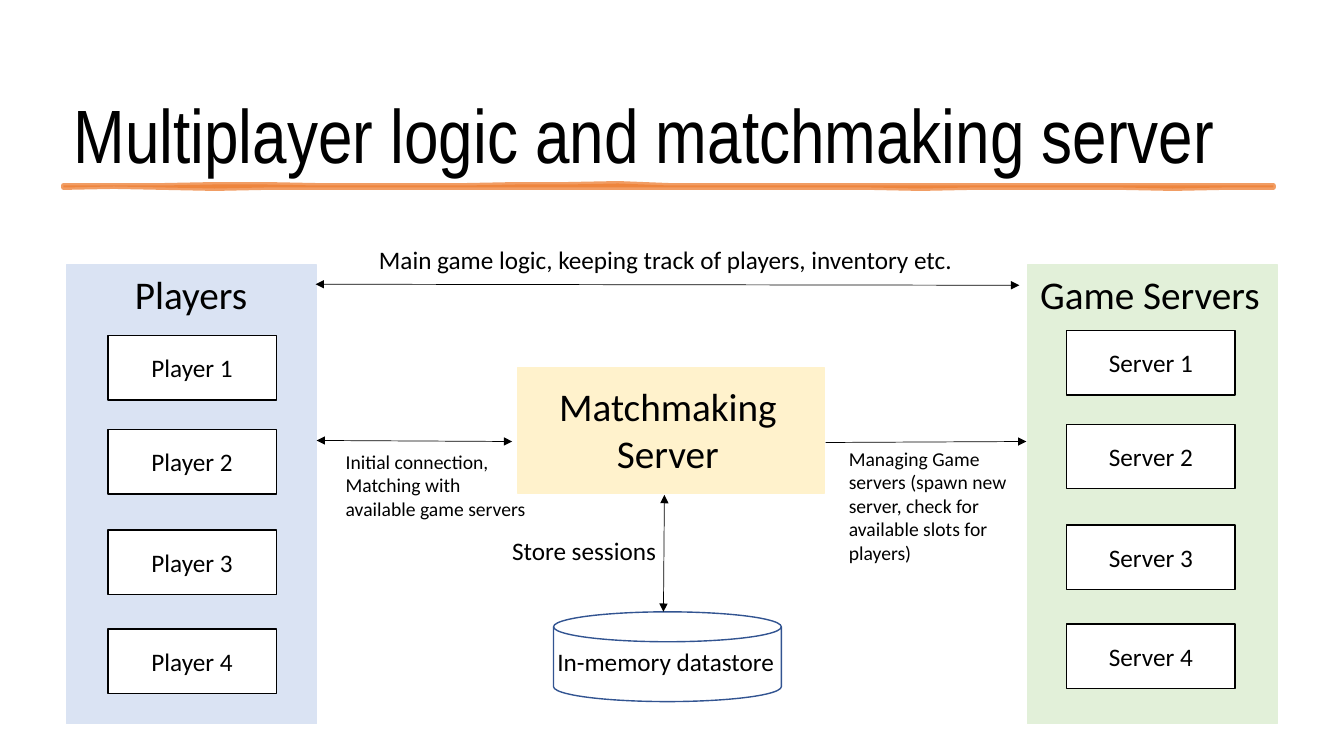
from lxml.etree import SubElement
from pptx import Presentation
from pptx.dml.color import RGBColor
from pptx.enum.dml import MSO_LINE
from pptx.enum.shapes import MSO_CONNECTOR, MSO_SHAPE
from pptx.enum.text import MSO_ANCHOR, MSO_AUTO_SIZE, PP_ALIGN
from pptx.oxml.ns import qn
from pptx.util import Inches, Pt

# Content; lengths in inches
TITLE = "Multiplayer logic and matchmaking server"
PANELS = [  # left, top, width, height, colour
    (0.66, 2.63, 2.48, 4.55, "DAE3F3"),
    (5.13, 3.65, 3.05, 1.24, "FFF2CC"),
    (10.19, 2.63, 2.48, 4.55, "E2F0D9"),
]
HEADINGS = [  # left, top, width, height, lines
    (0.67, 2.63, 2.45, 0.57, ["Players"]),
    (5.39, 3.74, 2.47, 1.51, ["Matchmaking", "Server"]),
    (10.18, 2.63, 2.45, 0.57, ["Game Servers"]),
]
COLUMNS = [("Player", 1.07, 3.33), ("Server", 10.58, 3.28)]  # name, left, top
ROW_OFFSETS = [0, 0.93, 1.93, 2.91]
BOX_WIDTH, BOX_HEIGHT = 1.67, 0.64
ARROWS = [  # from x, y, to x, y, two-headed
    (6.59, 4.91, 6.58, 6.07, True),
    (3.14, 4.37, 5.08, 4.38, True),
    (8.19, 4.39, 10.18, 4.38, False),
    (3.13, 2.82, 10.11, 2.83, True),
]
LABELS = [  # left, top, width, height, size, lines
    (3.66, 2.37, 6.29, 0.4, 18,
     ["Main game logic, keeping track of players, inventory etc."]),
    (3.33, 4.41, 2, 0.81, 14,
     ["Initial connection,", "Matching with available game servers"]),
    (8.32, 4.38, 2, 1.28, 14,
     ["Managing Game servers (spawn new server, check for available slots for players)"]),
    (4.98, 5.26, 1.82, 0.4, 18, ["Store sessions"]),
]
# Brush stroke: evenly spaced edge heights, in hundredths of an inch
STROKE_LEFT, STROKE_WIDTH, STROKE_TOP = 0.63, 12, 1.84
UPPER_EDGE = [0, 0, 0, -1, -1, 0, 0, 0, 0, -1, -1, -2, 0, 0, 0, 0, 0, 0, 0, 0, 0, 0, 0, 0, 0]
LOWER_EDGE = [2, 1, 2, 3, 2, 2, 2, 2, 2, 2, 2, 2, 2, 2, 2, 2, 2, 3, 2, 2, 2, 2, 3, 2, 2]


def color(value):
    return RGBColor.from_string(value)


def paint(shape, fill, line, width=1):
    shape.shadow.inherit = False
    shape.fill.solid()
    shape.fill.fore_color.rgb = color(fill)
    shape.line.color.rgb = color(line)
    shape.line.width = Pt(width)


def write(shape, lines, size, align=PP_ALIGN.LEFT, font="Calibri"):
    frame = shape.text_frame
    frame.word_wrap = True
    frame.text = "\n".join(lines)
    font_format = {"name": font, "size": Pt(size)}
    for paragraph in frame.paragraphs:
        paragraph.alignment = align
        for run in paragraph.runs:
            for name, value in font_format.items():
                setattr(run.font, name, value)
            run.font.color.rgb = color("000000")


def add_box(shapes, kind, place, fill, line):
    shape = shapes.add_shape(kind, *map(Inches, place))
    paint(shape, fill, line)
    return shape


def add_label(shapes, place, lines, size, align=PP_ALIGN.LEFT):
    box = shapes.add_textbox(*map(Inches, place))
    write(box, lines, size, align)
    box.text_frame.auto_size = MSO_AUTO_SIZE.SHAPE_TO_FIT_TEXT


def add_brush_stroke(shapes):
    step = STROKE_WIDTH / (len(UPPER_EDGE) - 1)
    upper, lower = [
        [(STROKE_LEFT + i * step, STROKE_TOP + height / 100) for i, height in enumerate(edge)]
        for edge in (UPPER_EDGE, LOWER_EDGE)
    ]
    outline = [(round(x * 1000), round(y * 1000)) for x, y in upper + lower[::-1]]
    builder = shapes.build_freeform(*outline[0], scale=Inches(1) / 1000)
    builder.add_line_segments(outline[1:], close=True)
    stroke = builder.convert_to_shape()
    paint(stroke, "ED7D31", "ED7D31", 3.5)
    stroke.line.dash_style = MSO_LINE.SOLID
    properties = stroke._element.spPr
    for tint in properties.iter(qn("a:srgbClr")):
        SubElement(tint, qn("a:alpha"), val="75000")
    SubElement(properties.find(qn("a:ln")), qn("a:round"))


def add_arrow(shapes, ends, two_headed):
    arrow = shapes.add_connector(MSO_CONNECTOR.STRAIGHT, *map(Inches, ends))
    arrow.line.color.rgb = color("000000")
    arrow.line.width = Pt(0.5)
    properties = arrow._element.spPr
    line = properties.find(qn("a:ln"))
    for tag in (["a:headEnd"] if two_headed else []) + ["a:tailEnd"]:
        SubElement(line, qn(tag), type="triangle")
    SubElement(properties, qn("a:effectLst"))


def main():
    presentation = Presentation()
    presentation.slide_width = Inches(13.33)
    presentation.slide_height = Inches(7.5)
    slide = presentation.slides.add_slide(presentation.slide_layouts[5])
    shapes = slide.shapes

    # Title and its underline
    title = shapes.title
    title_place = {"left": 0.63, "top": 0.26, "width": 12.05, "height": 1.57}
    for name, value in title_place.items():
        setattr(title, name, Inches(value))
    write(title, [TITLE], 54, font="Arial Narrow")
    title.text_frame.auto_size = MSO_AUTO_SIZE.NONE
    title.text_frame.vertical_anchor = MSO_ANCHOR.BOTTOM
    title.text_frame.paragraphs[0].line_spacing = 0.9
    add_brush_stroke(shapes)

    # Coloured panels and headings
    for *place, fill in PANELS:
        add_box(shapes, MSO_SHAPE.RECTANGLE, place, fill, fill)
    for *place, lines in HEADINGS:
        add_label(shapes, place, lines, 28, PP_ALIGN.CENTER)

    # Player and server boxes
    for name, left, top in COLUMNS:
        for number, offset in enumerate(ROW_OFFSETS, 1):
            place = (left, top + offset, BOX_WIDTH, BOX_HEIGHT)
            box = add_box(shapes, MSO_SHAPE.RECTANGLE, place, "FFFFFF", "000000")
            write(box, [f"{name} {number}"], 18, PP_ALIGN.CENTER)
            box.text_frame.vertical_anchor = MSO_ANCHOR.MIDDLE

    # Datastore
    datastore = shapes.add_group_shape().shapes
    add_box(datastore, MSO_SHAPE.FLOWCHART_MAGNETIC_DISK, (5.49, 6.07, 2.26, 0.89),
            "FFFFFF", "325491")
    add_label(datastore, (5.43, 6.36, 2.44, 0.4), ["In-memory datastore"], 18)

    # Arrows and their labels
    for *ends, two_headed in ARROWS:
        add_arrow(shapes, ends, two_headed)
    for *place, size, lines in LABELS:
        add_label(shapes, place, lines, size)

    presentation.save("out.pptx")


if __name__ == "__main__":
    main()
